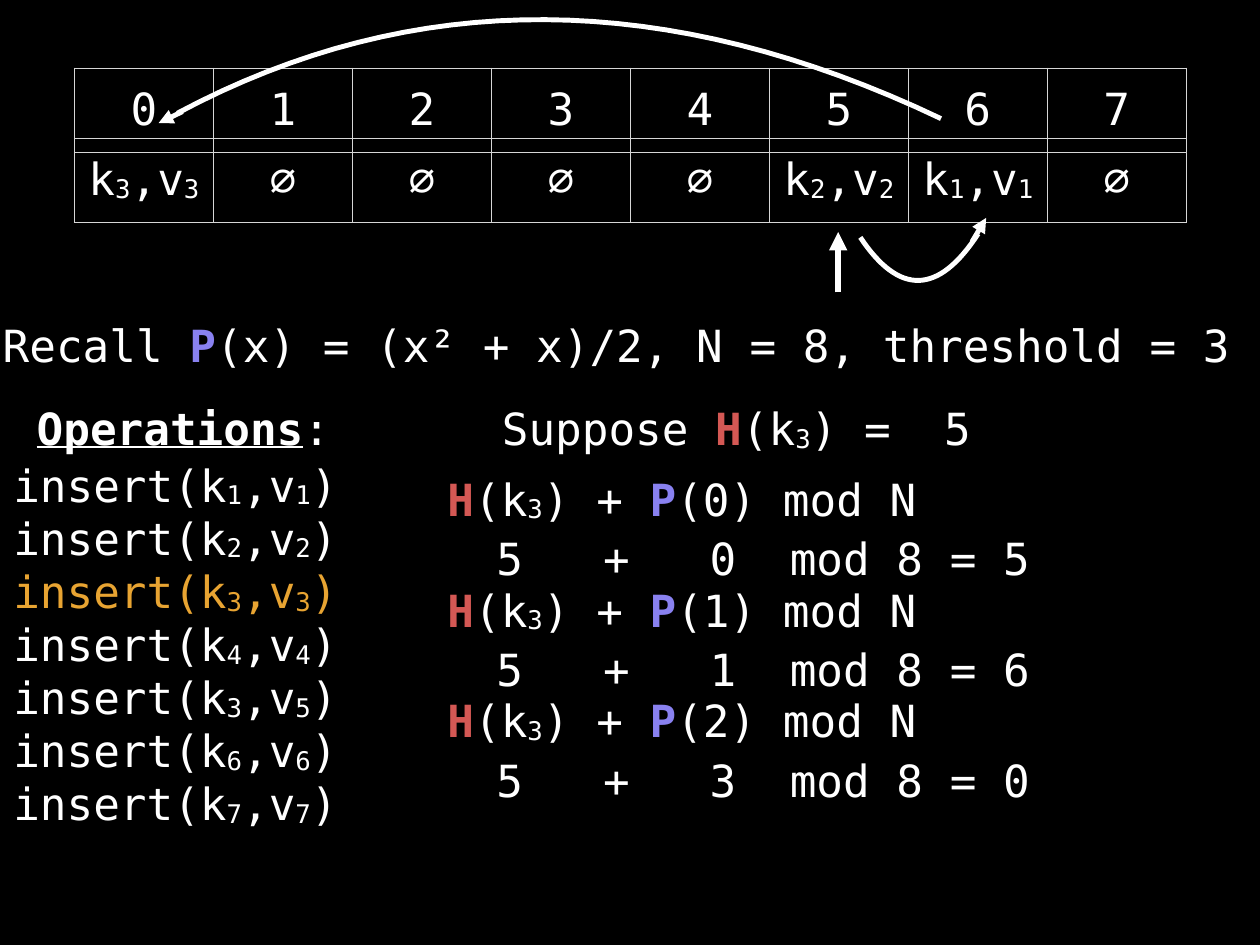
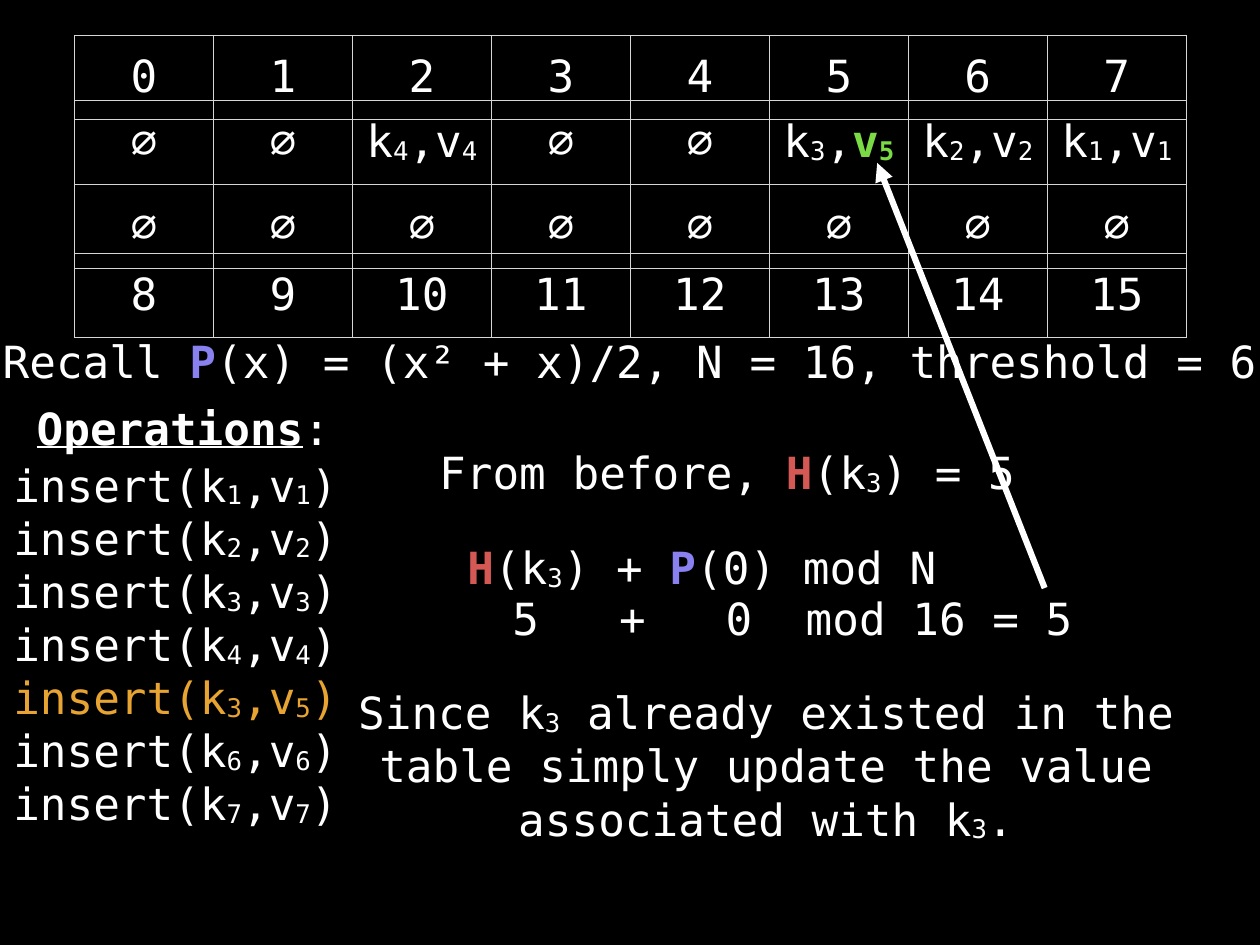
"""Build two slides that trace inserts into a hash table with quadratic probing."""
from dataclasses import dataclass

import lxml.etree
import pptx
import pptx.dml.color
import pptx.enum.shapes
import pptx.enum.text
import pptx.oxml.ns
import pptx.util

Inches = pptx.util.Inches
Align = pptx.enum.text.PP_ALIGN
Anchor = pptx.enum.text.MSO_ANCHOR

FONT, SIZE = "DejaVu Sans Mono", 36
BLACK, WHITE, GRAY = "000000", "FFFFFF", "D6D6D6"
RED, VIOLET, GOLD, GREEN = "D45854", "8981F0", "E8A432", "7BDB45"
INSET = 0.06
ROW_LEFT, ROW_WIDTH, ROW_HEIGHT = 0.84, 12.55, 0.95
LINE_HEIGHT = 0.68
PLAIN_STYLE = "{2D5ABB26-0587-4C30-8999-92F81FD0307C}"
INSERTS = ((1, 1), (2, 2), (3, 3), (4, 4), (3, 5), (6, 6), (7, 7))
CURVE_STEPS = 32


@dataclass(frozen=True)
class Run:
    text: str
    color: str = WHITE
    bold: bool = False
    under: bool = False
    sub: bool = False


@dataclass(frozen=True)
class Box:
    left: float
    top: float
    width: float
    lines: list[list[Run]]
    height: float = LINE_HEIGHT
    align: Align = Align.LEFT
    anchor: Anchor = Anchor.TOP
    wrap: bool = False


@dataclass(frozen=True)
class Arrow:
    start: tuple[float, float]
    end: tuple[float, float]
    weight: float


HASH = Run("H", RED, True)
PROBE = Run("P", VIOLET, True)


def rgb(color: str) -> pptx.dml.color.RGBColor:
    return pptx.dml.color.RGBColor.from_string(color)


def add_tag(parent, name: str, **attrs: str):
    tag = lxml.etree.SubElement(parent, pptx.oxml.ns.qn(name))
    for key, value in attrs.items():
        tag.set(key, value)
    return tag


def split(text: str, color: str = WHITE, bold: bool = False) -> list[Run]:
    first, *rest = text.split("_")
    runs = [Run(first, color, bold)]
    for part in rest:
        runs.append(Run(part[0], color, bold, sub=True))
        if part[1:]:
            runs.append(Run(part[1:], color, bold))
    return runs


def pair(key: int, value: int) -> list[Run]:
    return split(f"k_{key},v_{value}")


def probe_line(step: int) -> list[Run]:
    return [HASH, *split("(k_3) + "), PROBE, Run(f"({step}) mod N")]


def sum_line(offset: int, size: int, slot: int) -> list[Run]:
    return [Run(f"  5   +   {offset}  mod {size} = {slot}")]


def write(frame, lines: list[list[Run]], align: Align) -> None:
    for index, line in enumerate(lines):
        para = frame.add_paragraph() if index else frame.paragraphs[0]
        para.alignment = align
        para.font.name = FONT
        para.font.size = pptx.util.Pt(SIZE)
        for item in line:
            run = para.add_run()
            run.text = item.text
            run.font.color.rgb = rgb(item.color)
            if item.bold:
                run.font.bold = True
            if item.under:
                run.font.underline = True
            if item.sub:
                run._r.get_or_add_rPr().set("baseline", "-6000")


def set_inset(target) -> None:
    for side in ("left", "top", "right", "bottom"):
        setattr(target, f"margin_{side}", Inches(INSET))


def add_box(slide, box: Box) -> None:
    shape = slide.shapes.add_textbox(
        Inches(box.left), Inches(box.top), Inches(box.width), Inches(box.height))
    frame = shape.text_frame
    frame.word_wrap = box.wrap
    frame.auto_size = pptx.enum.text.MSO_AUTO_SIZE.SHAPE_TO_FIT_TEXT
    frame.vertical_anchor = box.anchor
    set_inset(frame)
    write(frame, box.lines, box.align)


def add_label(slide, left: float, top: float, width: float, line: list[Run],
              align: Align = Align.CENTER, wrap: bool = False) -> None:
    add_box(slide, Box(left, top, width, [line], align=align,
                       anchor=Anchor.MIDDLE, wrap=wrap))


def add_edges(cell) -> None:
    props = cell._tc.get_or_add_tcPr()
    for index, side in enumerate("LRTB"):
        edge = add_tag(props, f"a:ln{side}", w=str(pptx.util.Pt(1)))
        add_tag(add_tag(edge, "a:solidFill"), "a:srgbClr", val=GRAY)
        props.insert(index, edge)


def add_row(slide, top: float, cells: list[list[Run]]) -> None:
    table = slide.shapes.add_table(
        1, len(cells), Inches(ROW_LEFT), Inches(top),
        Inches(ROW_WIDTH), Inches(ROW_HEIGHT)).table
    table.first_row = table.horz_banding = False
    table._tbl.tblPr.find(pptx.oxml.ns.qn("a:tableStyleId")).text = PLAIN_STYLE
    for cell, line in zip(table.rows[0].cells, cells):
        cell.fill.background()
        cell.vertical_anchor = Anchor.MIDDLE
        set_inset(cell)
        write(cell.text_frame, [line], Align.CENTER)
        add_edges(cell)


def add_slots(slide, top: float, first: int) -> None:
    add_row(slide, top, [[Run(str(slot))] for slot in range(first, first + 8)])


def add_pairs(slide, top: float, filled: dict[int, list[Run]]) -> None:
    add_row(slide, top, [filled.get(slot, [Run("∅")]) for slot in range(8)])


def add_arrow(slide, arrow: Arrow) -> None:
    ends = [Inches(value) for value in (*arrow.start, *arrow.end)]
    line = slide.shapes.add_connector(
        pptx.enum.shapes.MSO_CONNECTOR.STRAIGHT, *ends)
    line.line.color.rgb = rgb(WHITE)
    line.line.width = pptx.util.Pt(arrow.weight)
    add_tag(line.line._get_or_add_ln(), "a:tailEnd", type="triangle")
    add_tag(line._element.spPr, "a:effectLst")


def add_curve(slide, *knots: tuple[float, float]) -> None:
    points = []
    for step in range(CURVE_STEPS + 1):
        t = step / CURVE_STEPS
        parts = ((1 - t) ** 3, 3 * t * (1 - t) ** 2, 3 * t * t * (1 - t), t ** 3)
        points.append(tuple(
            Inches(sum(part * knot[axis] for part, knot in zip(parts, knots)))
            for axis in (0, 1)))
    pen = slide.shapes.build_freeform(*points[0])
    pen.add_line_segments(points[1:], close=False)
    curve = pen.convert_to_shape()
    curve.shadow.inherit = False
    curve.fill.background()
    curve.line.color.rgb = rgb(WHITE)
    curve.line.width = pptx.util.Pt(4)


def add_base(deck, recall_top: float, recall: str, active: int):
    slide = deck.slides.add_slide(deck.slide_layouts[6])
    add_label(slide, 0.35, 4.49, 3.44,
              [Run("Operations", bold=True, under=True), Run(":")])
    add_label(slide, -0.69, recall_top, 15.59,
              [Run("Recall "), PROBE, Run(f"(x) = (x² + x)/2, {recall}")], wrap=True)
    lines = [split(f"insert(k_{key},v_{value})", GOLD if index == active else WHITE)
             for index, (key, value) in enumerate(INSERTS)]
    add_box(slide, Box(0.09, 5.11, 4.14, lines, height=4.1))
    return slide


def draw_probe(deck) -> None:
    slide = add_base(deck, 3.55, "N = 8, threshold = 3 ", active=2)
    add_pairs(slide, 1.56, {0: pair(3, 3), 5: pair(2, 2), 6: pair(1, 1)})
    add_slots(slide, 0.77, 0)
    add_label(slide, 5.59, 4.49, 5.44, [Run("Suppose "), HASH, *split("(k_3) =  5")])
    for step, (offset, slot) in enumerate(((0, 5), (1, 6), (3, 0))):
        top = 5.27 + 1.25 * step
        add_box(slide, Box(4.99, top, 5.44, [probe_line(step)]))
        add_box(slide, Box(4.94, top + 0.67, 6.75, [sum_line(offset, 8, slot)]))
    add_curve(slide, (11.04, 2.64), (10.59, 3.33), (10.15, 3.34), (9.71, 2.68))
    add_curve(slide, (10.62, 1.34), (7.54, -0.13), (4.67, -0.15), (2, 1.28))
    for arrow in (Arrow((9.46, 3.3), (9.46, 2.62), 5),
                  Arrow((10.97, 2.73), (11.13, 2.46), 4),
                  Arrow((2.06, 1.26), (1.79, 1.39), 4)):
        add_arrow(slide, arrow)


def draw_update(deck) -> None:
    slide = add_base(deck, 3.73, "N = 16, threshold = 6", active=4)
    changed = [*split("k_3,"), *split("v_5", GREEN, True)]
    add_pairs(slide, 1.13, {2: pair(4, 4), 5: changed, 6: pair(2, 2), 7: pair(1, 1)})
    add_pairs(slide, 2.08, {})
    add_slots(slide, 0.4, 0)
    add_slots(slide, 2.86, 8)
    add_label(slide, 4.88, 4.99, 6.65, [Run("From before, "), HASH, *split("(k_3) = 5")])
    add_label(slide, 5.2, 6.06, 5.44, probe_line(0))
    add_label(slide, 5.12, 6.63, 7.05, sum_line(0, 16, 5), align=Align.LEFT)
    reason = split("Since k_3 already existed in the table simply update "
                   "the value associated with k_3.")
    add_box(slide, Box(3.89, 7.73, 9.51, [reason], height=1.82, align=Align.CENTER,
                       anchor=Anchor.MIDDLE, wrap=True))
    add_arrow(slide, Arrow((11.79, 6.64), (9.9, 1.84), 5))


def main() -> None:
    deck = pptx.Presentation()
    deck.slide_width, deck.slide_height = Inches(14.22), Inches(10.67)
    fill = deck.slide_master.background.fill
    fill.solid()
    fill.fore_color.rgb = rgb(BLACK)
    draw_probe(deck)
    draw_update(deck)
    deck.save("out.pptx")


if __name__ == "__main__":
    main()
